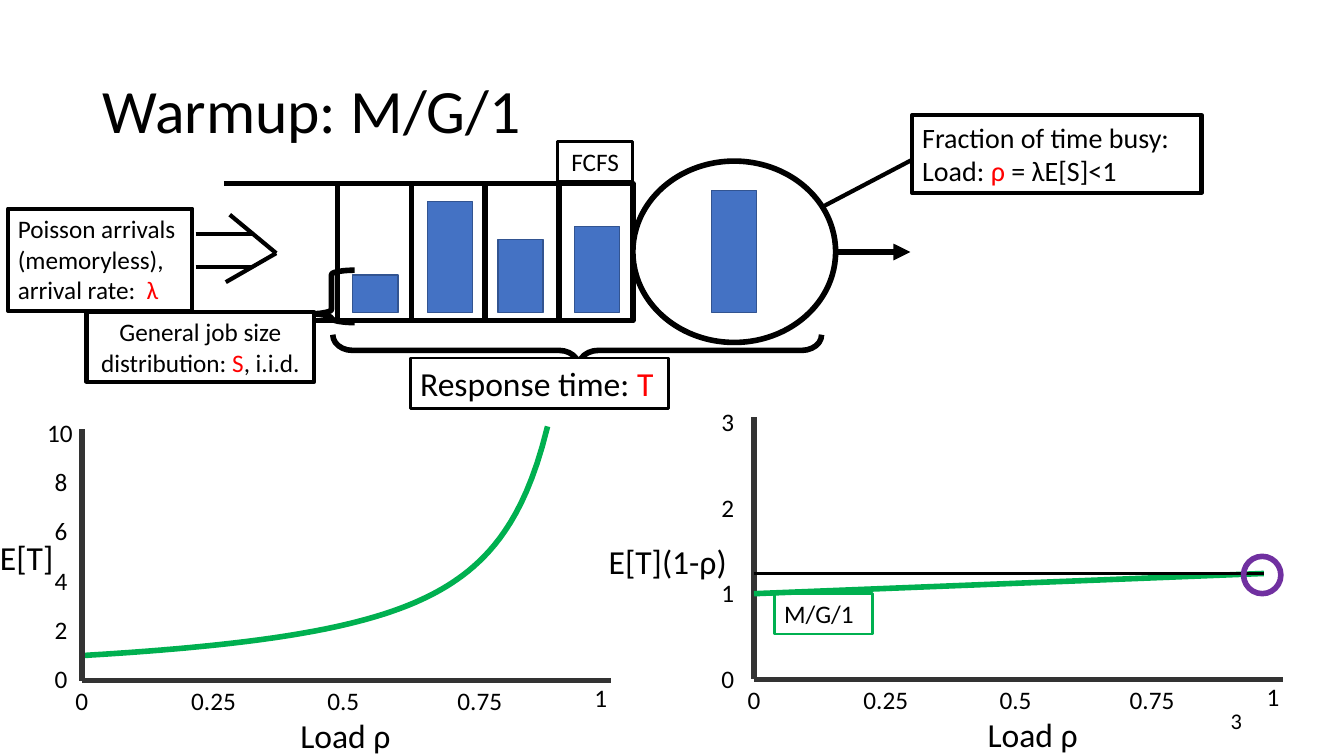
from lxml.etree import SubElement
from pptx import Presentation
from pptx.dml.color import RGBColor
from pptx.enum.shapes import MSO_CONNECTOR, MSO_SHAPE
from pptx.enum.text import MSO_ANCHOR, PP_ALIGN
from pptx.oxml.ns import qn
from pptx.util import Cm, Pt

BLACK, WHITE, RED = "000000", "FFFFFF", "FF0000"
GREEN, BLUE, NAVY = "00B050", "4472C4", "325491"
PURPLE, GREY = "7030A0", "333333"
LEFT, CENTER, RIGHT = PP_ALIGN.LEFT, PP_ALIGN.CENTER, PP_ALIGN.RIGHT

RESPONSE = [[("Response time: ", BLACK), ("T", RED)]]
POISSON = [[("Poisson arrivals (memoryless), arrival rate:  ", BLACK), ("λ", RED)]]
BUSY = [[("Fraction of time busy:", BLACK)],
        [("Load: ", BLACK), ("ρ", RED), (" = λE[S]<1", BLACK)]]
JOB_SIZE = [[("General job size distribution: ", BLACK), ("S", RED), (", i.i.d.", BLACK)]]

ARRIVAL_LINES = [
    ((5.79, 5.41), (6.96, 6.38)),
    ((5.69, 7.11), (6.96, 6.38)),
    ((4.93, 5.89), (6.38, 5.89)),
    ((4.93, 6.73), (6.38, 6.73)),
]
QUEUE_LEFT, QUEUE_RIGHT, QUEUE_TOP, QUEUE_BOTTOM = 5.64, 15.95, 4.62, 8.08
SLOT_LEFT, SLOT_COUNT = 8.51, 4
JOB_WIDTH, JOB_BOTTOM = 1.14, 7.87
QUEUED_JOBS = [(8.89, 0.94), (10.77, 2.79), (12.55, 1.83), (14.48, 2.16)]
JOB_IN_SERVICE = (17.93, 3.07)

AXIS_WIDTH = 13.34
LOAD_TICKS = [("0", -0.41), ("0.25", 2.51), ("0.5", 5.94), ("0.75", 9.22), ("1", 12.67)]
CHARTS = [
    {"origin": (2.06, 17.15), "top": 10.82, "ticks": ["0", "2", "4", "6", "8", "10"],
     "tick_left": 1.13, "step": 1.24, "x_title": 7.32,
     "y_title": ("E[T]", (-0.25, 13.41, 1.91, 1.27))},
    {"origin": (19.0, 17.12), "top": 10.52, "ticks": ["0", "1", "2", "3"],
     "tick_left": 17.93, "step": 2.16, "x_title": 24.64,
     "y_title": ("E[T](1-ρ)", (15.09, 13.51, 3.66, 1.27))},
]
UNIT_HEIGHT, MAX_LOAD, CURVE_STEPS = 0.63, 0.88, 88

prs = Presentation()
prs.slide_width, prs.slide_height = Cm(33.87), Cm(19.05)
s = prs.slides.add_slide(prs.slide_layouts[5])


def rgb(color):
    return RGBColor.from_string(color)


def write(sp, paragraphs, size, align=LEFT, anchor=MSO_ANCHOR.TOP):
    tf = sp.text_frame
    tf.word_wrap = True
    tf.vertical_anchor = anchor
    for i, runs in enumerate(paragraphs):
        p = tf.add_paragraph() if i else tf.paragraphs[0]
        p.alignment = align
        for text, color in runs:
            r = p.add_run()
            r.text = text
            r.font.name, r.font.size = "Calibri", Pt(size)
            r.font.color.rgb = rgb(color)


def style(sp, line, width, fill=None):
    sp.shadow.inherit = False
    if fill:
        sp.fill.solid()
        sp.fill.fore_color.rgb = rgb(fill)
    else:
        sp.fill.background()
    sp.line.color.rgb = rgb(line)
    sp.line.width = Pt(width)


def shape(kind, box, line=BLACK, width=4, fill=None):
    sp = s.shapes.add_shape(kind, *map(Cm, box))
    style(sp, line, width, fill)
    return sp


def rect(*args, **options):
    return shape(MSO_SHAPE.RECTANGLE, *args, **options)


def label(text, box, size=18, align=LEFT, anchor=MSO_ANCHOR.TOP):
    write(s.shapes.add_textbox(*map(Cm, box)), [[(text, BLACK)]], size, align, anchor)


def line(start, end, color=BLACK, width=3.0, arrow=False):
    c = s.shapes.add_connector(MSO_CONNECTOR.STRAIGHT, *map(Cm, start + end))
    c.line.color.rgb = rgb(color)
    c.line.width = Pt(width)
    if arrow:
        SubElement(c.line._get_or_add_ln(), qn("a:tailEnd"), type="triangle")
    SubElement(c._element.spPr, qn("a:effectLst"))


def job(left, height):
    rect((left, JOB_BOTTOM - height, JOB_WIDTH, height), NAVY, 1, BLUE)


def brace(kind, box, curl, tip, rotation=0):
    sp = shape(kind, box)
    sp.adjustments[0], sp.adjustments[1] = curl, tip
    sp.rotation = rotation


def queue():
    for start, end in ARRIVAL_LINES:
        line(start, end)
    for y in (QUEUE_TOP, QUEUE_BOTTOM):
        line((QUEUE_LEFT, y), (QUEUE_RIGHT, y), width=4)
    slot = (QUEUE_RIGHT - SLOT_LEFT) / SLOT_COUNT
    for i in reversed(range(SLOT_COUNT)):
        rect((SLOT_LEFT + i * slot, QUEUE_TOP, slot, QUEUE_BOTTOM - QUEUE_TOP), fill=WHITE)
    for left, height in QUEUED_JOBS:
        job(left, height)
    shape(MSO_SHAPE.OVAL, (QUEUE_RIGHT, 4.06, 5.11, 4.57), fill=WHITE)
    job(*JOB_IN_SERVICE)
    line((21.06, 6.35), (22.94, 6.35), width=4, arrow=True)
    write(rect((14.05, 3.56, 1.9, 1.02), width=2), [[("FCFS", BLACK)]], 18, CENTER)


def axes(chart):
    x0, y0 = chart["origin"]
    for i, text in enumerate(chart["ticks"]):
        left = chart["tick_left"] - 0.19 * (len(text) - 1)
        label(text, (left, 16.59 - i * chart["step"], 1.22, 1.02))
    for text, dx in LOAD_TICKS:
        rise = 0.08 if text == "1" else 0
        label(text, (x0 + dx, y0 - rise, 1.65, 1.02))
    line((x0, chart["top"]), (x0, y0), GREY, 4)
    line((x0, y0), (x0 + AXIS_WIDTH, y0), GREY, 4)
    label("Load ρ", (chart["x_title"], y0 + 0.74, 2.9, 1.27), 24)
    text, box = chart["y_title"]
    label(text, box, 24)


def response_curve(origin):
    x0, y0 = origin
    points = []
    for i in range(CURVE_STEPS + 1):
        load = MAX_LOAD * i / CURVE_STEPS
        mean = (1 + load / 4) / (1 - load)
        points.append((Cm(x0 + AXIS_WIDTH * load), Cm(y0 - UNIT_HEIGHT * mean)))
    builder = s.shapes.build_freeform(*points[0])
    builder.add_line_segments(points[1:], close=False)
    style(builder.convert_to_shape(), GREEN, 4)


title = s.shapes.title
title.left, title.top, title.width, title.height = map(Cm, (2.33, 1.02, 29.21, 3.68))
write(title, [[("Warmup: M/G/1", BLACK)]], 44, anchor=MSO_ANCHOR.MIDDLE)
title.text_frame.paragraphs[0].line_spacing = 0.9

brace(MSO_SHAPE.RIGHT_BRACE, (14.15, 2.67, 0.79, 12.32), 0.627, 0.497, 90)
write(rect((10.34, 9.02, 6.5, 1.27), width=2, fill=WHITE), RESPONSE, 24)
write(rect((0.2, 5.26, 4.65, 2.57), width=3), POISSON, 18)
line((20.73, 5.21), (22.96, 4.04))
write(rect((22.99, 2.9, 7.29, 1.96), width=3), BUSY, 20)
queue()
response_curve(CHARTS[0]["origin"])
for chart in CHARTS:
    axes(chart)
brace(MSO_SHAPE.LEFT_BRACE, (7.77, 6.81, 1.17, 1.32), 0.372, 0.834)
write(rect((2.18, 7.87, 5.74, 1.75), width=3, fill=WHITE), JOB_SIZE, 18, CENTER,
      MSO_ANCHOR.MIDDLE)
line((19.0, 14.96), (31.85, 14.45), GREEN, 4)
write(rect((19.51, 14.96, 2.49, 1.02), GREEN, 2), [[("M/G/1", BLACK)]], 18)
line((19.0, 14.45), (31.85, 14.45), width=2)
shape(MSO_SHAPE.OVAL, (31.34, 14.02, 0.94, 0.94), PURPLE)
label("3", (23.93, 17.65, 7.62, 1.02), 16, RIGHT, MSO_ANCHOR.MIDDLE)

prs.save("out.pptx")
